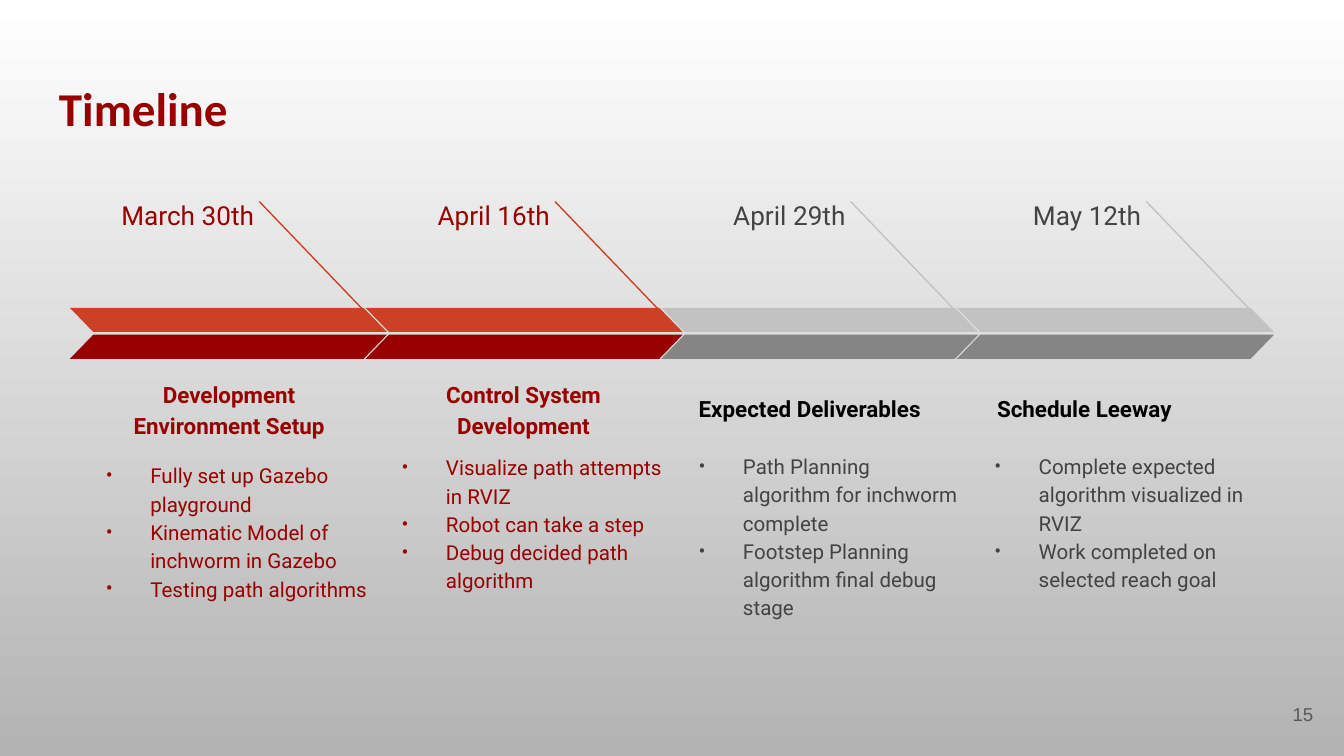
import pptx
import pptx.dml.color
import pptx.enum.shapes
import pptx.enum.text
import pptx.oxml.ns
import pptx.util
from lxml import etree

Inches, Pt = pptx.util.Inches, pptx.util.Pt
ALIGN = pptx.enum.text.PP_ALIGN
ANCHOR = pptx.enum.text.MSO_ANCHOR
SHAPE = pptx.enum.shapes.MSO_SHAPE

# Content
TITLE = "Timeline"
PAGE_NUMBER = "15"
DONE = {"text": "980000", "heading": "980000", "upper": "CC4125", "lower": "980000",
        "align": ALIGN.CENTER, "anchor": ANCHOR.MIDDLE, "heading_top": 2.75,
        "list_indent": 0}
AHEAD = {"text": "434343", "heading": "000000", "upper": "C2C2C2", "lower": "858585",
         "align": ALIGN.LEFT, "anchor": ANCHOR.BOTTOM, "heading_top": 2.67,
         "list_indent": 0.01}
# date, heading, style, left of the heading, list top and height, bullet items
MILESTONES = [
    ("March 30th", "Development Environment Setup", DONE, 0.73, (3.32, 1.4),
     ["Fully set up Gazebo playground", "Kinematic Model of inchworm in Gazebo",
      "Testing path algorithms"]),
    ("April 16th", "Control System Development", DONE, 2.92, (3.26, 0.95),
     ["Visualize path attempts in RVIZ", "Robot can take a step",
      "Debug decided path algorithm"]),
    ("April 29th", "Expected Deliverables", AHEAD, 5.1, (3.25, 1.62),
     ["Path Planning algorithm for inchworm complete",
      "Footstep Planning algorithm final debug stage"]),
    ("May 12th", "Schedule Leeway", AHEAD, 7.32, (3.25, 0.95),
     ["Complete expected algorithm visualized in RVIZ",
      "Work completed on selected reach goal"]),
]

# Layout in inches
SLIDE_WIDTH = 10
SLIDE_HEIGHT = SLIDE_WIDTH * 9 / 16
FIRST_LEFT, STEP = 0.52, 2.2
BAR_WIDTH, BAR_HEIGHT, BAR_TOPS = 2.36, 0.18, (2.29, 2.49)


def rgb(value):
    return pptx.dml.color.RGBColor.from_string(value)


def add_text(shapes, box, lines, size, color, font="Roboto", bold=False, align=ALIGN.LEFT,
             anchor=ANCHOR.TOP, spacing=1.15, after=0, bullets=False):
    shape = shapes.add_textbox(*map(Inches, box))
    frame = shape.text_frame
    frame.word_wrap = True
    frame.vertical_anchor = anchor
    frame.margin_left = frame.margin_right = Inches(0.1)
    frame.margin_top = frame.margin_bottom = Inches(0.1)
    for index, line in enumerate(lines):
        paragraph = frame.add_paragraph() if index else frame.paragraphs[0]
        paragraph.alignment = align
        paragraph.line_spacing = spacing
        paragraph.space_after = Pt(after)
        if bullets:
            add_bullet(paragraph, color, font)
        run = paragraph.add_run()
        run.text = line
        run.font.name, run.font.size, run.font.bold = font, Pt(size), bold
        run.font.color.rgb = rgb(color)


def add_bullet(paragraph, color, font):
    qn = pptx.oxml.ns.qn
    properties = paragraph._p.get_or_add_pPr()
    properties.set("marL", str(Inches(0.5)))
    properties.set("indent", str(Inches(-0.33)))
    bullet_color = etree.SubElement(properties, qn("a:buClr"))
    etree.SubElement(bullet_color, qn("a:srgbClr"), val=color)
    etree.SubElement(properties, qn("a:buFont"), typeface=font)
    etree.SubElement(properties, qn("a:buChar"), char="•")


def add_bar(shapes, left, top, color, flipped):
    bar = shapes.add_shape(SHAPE.PARALLELOGRAM, Inches(left), Inches(top),
                           Inches(BAR_WIDTH), Inches(BAR_HEIGHT))
    bar.shadow.inherit = False
    bar.adjustments[0] = 0.97
    bar.fill.solid()
    bar.fill.fore_color.rgb = rgb(color)
    bar.line.fill.background()
    if flipped:
        bar._element.spPr.get_or_add_xfrm().set("flipH", "1")


def add_slanted_line(shapes, left, color):
    line = shapes.add_connector(pptx.enum.shapes.MSO_CONNECTOR.STRAIGHT,
                                Inches(left + 1.41), Inches(1.5),
                                Inches(left + 2.33), Inches(2.46))
    line.line.color.rgb = rgb(color)
    line.line.width = Pt(0.75)
    etree.SubElement(line._element.spPr, pptx.oxml.ns.qn("a:effectLst"))


def add_milestone(slide, left, date, heading, style, heading_left, list_span, items):
    shapes = slide.shapes.add_group_shape().shapes
    list_top, list_height = list_span
    add_text(shapes, (left, 1.35, 1.47, 0.31), [date], 14, style["text"],
             align=ALIGN.RIGHT, after=16)
    add_text(shapes, (heading_left, style["heading_top"], 1.95, 0.57), [heading], 12,
             style["heading"], bold=True, align=style["align"], anchor=style["anchor"])
    add_text(shapes, (left + style["list_indent"], list_top, 2.33, list_height), items, 11,
             style["text"], bullets=True)
    add_slanted_line(shapes, left, style["upper"])
    add_bar(shapes, left, BAR_TOPS[0], style["upper"], True)
    add_bar(shapes, left, BAR_TOPS[1], style["lower"], False)


def main():
    presentation = pptx.Presentation()
    presentation.slide_width = Inches(SLIDE_WIDTH)
    presentation.slide_height = Inches(SLIDE_HEIGHT)
    slide = presentation.slides.add_slide(presentation.slide_layouts[6])

    # Background, white at the top to grey at the bottom
    fill = slide.background.fill
    fill.gradient()
    fill.gradient_angle = 270
    for stop, color in zip(fill.gradient_stops, ("FFFFFF", "B3B3B3")):
        stop.color.rgb = rgb(color)

    # Title, milestones, page number
    add_text(slide.shapes, (0.34, 0.49, 9.32, 0.63), [TITLE], 25.2, "980000",
             font="Calibri", bold=True, spacing=1.0)
    for index, milestone in enumerate(MILESTONES):
        add_milestone(slide, FIRST_LEFT + index * STEP, *milestone)
    add_text(slide.shapes, (9.27, 5.1, 0.6, 0.43), [PAGE_NUMBER], 10, "595959",
             font="Arial", align=ALIGN.RIGHT, anchor=ANCHOR.MIDDLE, spacing=1.0)

    presentation.save("out.pptx")


if __name__ == "__main__":
    main()
